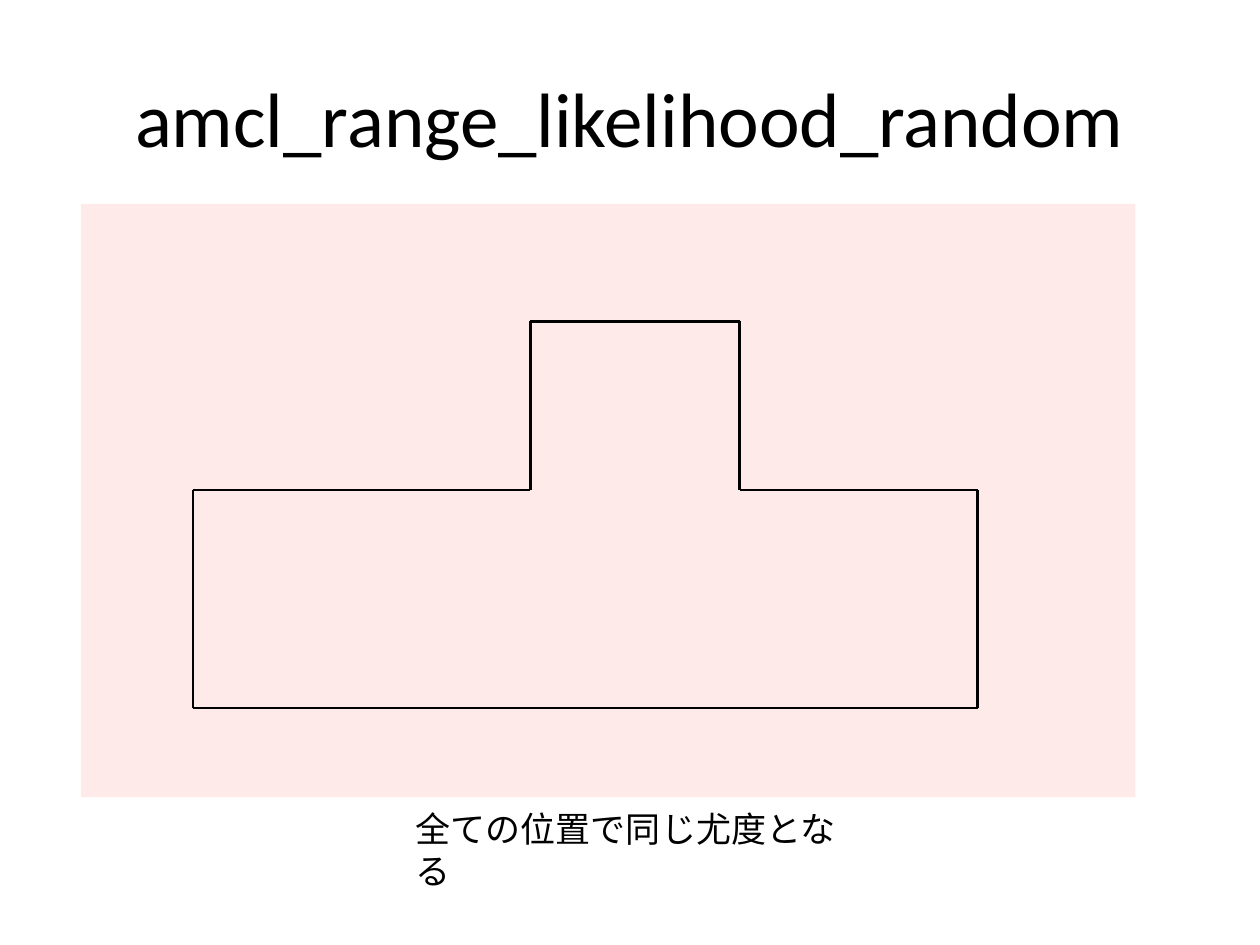
from itertools import pairwise

from lxml import etree
from pptx import Presentation
from pptx.dml.color import RGBColor
from pptx.enum.shapes import MSO_CONNECTOR, MSO_SHAPE
from pptx.enum.text import MSO_ANCHOR, MSO_AUTO_SIZE, PP_ALIGN
from pptx.oxml.ns import qn
from pptx.util import Cm, Pt

STRAIGHT = MSO_CONNECTOR.STRAIGHT
RECTANGLE = MSO_SHAPE.RECTANGLE
LEFT, CENTER = PP_ALIGN.LEFT, PP_ALIGN.CENTER
TOP, MIDDLE = MSO_ANCHOR.TOP, MSO_ANCHOR.MIDDLE
GROW, FIXED = MSO_AUTO_SIZE.SHAPE_TO_FIT_TEXT, MSO_AUTO_SIZE.NONE
FONT = "Calibri"
BLACK, RED = "000000", "FF3232"


def color(hex_code):
    """Turn a hex string into a colour."""
    return RGBColor.from_string(hex_code)


def add_text(slide, box, text, size, align=LEFT, anchor=TOP, fit=FIXED):
    """Place one wrapped paragraph in a box given in centimetres."""
    label = slide.shapes.add_textbox(*map(Cm, box))
    frame = label.text_frame
    frame.word_wrap = True
    frame.auto_size = fit
    frame.vertical_anchor = anchor
    paragraph = frame.paragraphs[0]
    paragraph.alignment = align
    run = paragraph.add_run()
    run.text = text
    run.font.name = FONT
    run.font.size = Pt(size)
    run.font.color.rgb = color(BLACK)


def add_likelihood_area(slide, box):
    """Tint the whole region with an even, mostly transparent red."""
    area = slide.shapes.add_shape(RECTANGLE, *map(Cm, box))
    area.shadow.inherit = False
    area.fill.solid()
    area.fill.fore_color.rgb = color(RED)
    area.line.fill.background()
    tint = area.fill._xPr.find(".//" + qn("a:srgbClr"))
    etree.SubElement(tint, qn("a:alpha")).set("val", "10000")


def add_wall(walls, start, end):
    """Draw one wall between two points given in centimetres."""
    wall = walls.shapes.add_connector(STRAIGHT, *map(Cm, (*start, *end)))
    wall.line.color.rgb = color(BLACK)
    wall.line.width = Pt(1.5)
    etree.SubElement(wall._element.spPr, qn("a:effectLst"))


def add_map(slide, box):
    """Draw the tinted map region and the walls of the room with its alcove."""
    add_likelihood_area(slide, box)
    left, top = box[:2]
    room_left, alcove_left, alcove_right, room_right = (
        left + x for x in (2.26, 9.06, 13.28, 18.08))
    alcove_top, room_top, room_bottom = (top + y for y in (2.37, 5.77, 10.16))
    corners = [
        (room_left, room_bottom), (room_left, room_top),
        (alcove_left, room_top), (alcove_left, alcove_top),
        (alcove_right, alcove_top), (alcove_right, room_top),
        (room_right, room_top), (room_right, room_bottom),
    ]
    walls = slide.shapes.add_group_shape()
    for ends in pairwise(corners + corners[:1]):
        add_wall(walls, *sorted(ends))


def build_map_slide(deck):
    """Add a slide with a title, the map and its caption."""
    slide = deck.slides.add_slide(deck.slide_layouts[6])
    add_map(slide, (1.63, 4.11, 21.26, 11.96))
    add_text(slide, (8.13, 16.15, 9.17, 1.12), "全ての位置で同じ尤度となる",
             size=20, fit=GROW)
    add_text(slide, (1.27, 0.76, 22.86, 3.18), "amcl_range_likelihood_random",
             size=44, align=CENTER, anchor=MIDDLE)


deck = Presentation()
deck.slide_width, deck.slide_height = Cm(25.4), Cm(19.05)
build_map_slide(deck)
deck.save("out.pptx")
